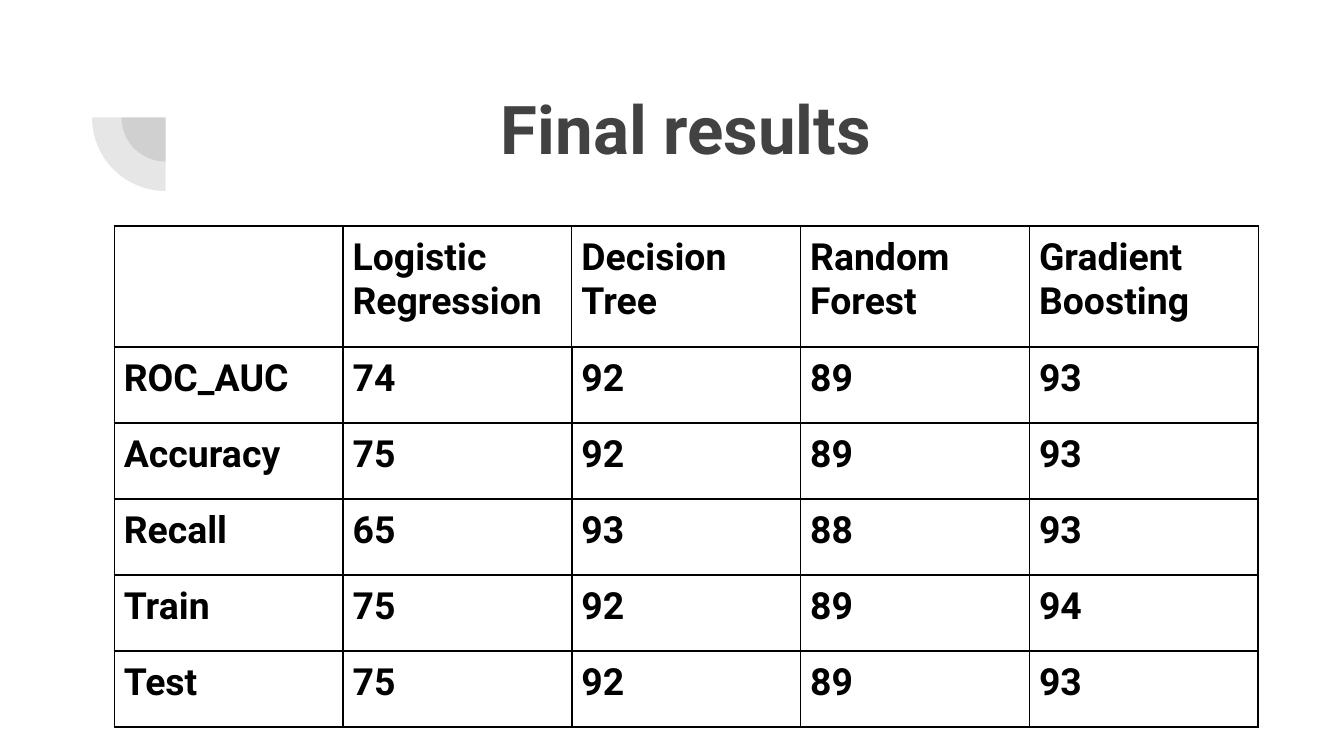
from dataclasses import dataclass

from lxml.etree import SubElement
from pptx import Presentation
from pptx.dml.color import RGBColor as Rgb
from pptx.enum.shapes import MSO_SHAPE as Shape
from pptx.enum.text import MSO_ANCHOR as Anchor, PP_ALIGN as Align
from pptx.oxml.ns import qn
from pptx.util import Cm, Pt


@dataclass(frozen=True)
class Theme:
    font: str = "Roboto"
    grey: str = "424242"
    ink: str = "000000"
    head: int = 36
    body: int = 20
    alpha: int = 13
    thin: float = 0.75
    thick: float = 1


THEME = Theme()

ROWS = [
    ["", "Logistic Regression", "Decision Tree", "Random Forest", "Gradient Boosting"],
    ["ROC_AUC", "74", "92", "89", "93"],
    ["Accuracy", "75", "92", "89", "93"],
    ["Recall", "65", "93", "88", "93"],
    ["Train", "75", "92", "89", "94"],
    ["Test", "75", "92", "89", "93"],
]


def style(para, size, color):
    font = para.font
    font.name, font.size, font.bold = THEME.font, Pt(size), True
    font.color.rgb = Rgb.from_string(color)


def border(cell, widths):
    """Draw the cell's sides; widths maps L, R, T, B to points."""
    props = cell._tc.get_or_add_tcPr()
    for at, (side, width) in enumerate(widths.items()):
        line = props.makeelement(qn(f"a:ln{side}"), {"w": str(Pt(width))})
        fill = SubElement(line, qn("a:solidFill"))
        SubElement(fill, qn("a:srgbClr"), val=THEME.ink)
        props.insert(at, line)


def add_mark(slide, x, y, w, h):
    """Two quarter discs that share the top right corner of the box."""
    group = slide.shapes.add_group_shape()
    for part in (0.6, 1):
        rad = w * part
        pie = group.shapes.add_shape(
            Shape.PIE, Cm(x + w - rad), Cm(y - rad), Cm(2 * rad), Cm(2 * rad))
        pie.rotation = 270
        pie.adjustments[0], pie.adjustments[1] = 108, 162
        pie.shadow.inherit = False
        pie.line.fill.background()
        pie.fill.solid()
        pie.fill.fore_color.rgb = Rgb.from_string(THEME.grey)
        tint = pie._element.spPr.find(f".//{qn('a:srgbClr')}")
        SubElement(tint, qn("a:alpha"), val=str(THEME.alpha * 1000))


def add_title(slide, x, y, w, h):
    frame = slide.shapes.add_textbox(Cm(x), Cm(y), Cm(w), Cm(h)).text_frame
    frame.word_wrap = True
    frame.vertical_anchor = Anchor.TOP
    frame.margin_left = frame.margin_right = frame.margin_bottom = Cm(0.25)
    frame.margin_top = Cm(0.33)
    para = frame.paragraphs[0]
    para.text = "Final results"
    para.alignment = Align.CENTER
    style(para, THEME.head, THEME.grey)


def add_scores(slide, x, y, w, h):
    table = slide.shapes.add_table(
        len(ROWS), len(ROWS[0]), Cm(x), Cm(y), Cm(w), Cm(h)).table
    table.first_row = table.horz_banding = False

    # Equal columns, and equal rows below a taller header
    top = 2.29
    for col in table.columns:
        col.width = Cm(w / len(ROWS[0]))
    for r, row in enumerate(table.rows):
        row.height = Cm(top if r == 0 else (h - top) / (len(ROWS) - 1))

    for r, texts in enumerate(ROWS):
        for c, text in enumerate(texts):
            cell = table.cell(r, c)
            cell.fill.background()
            cell.margin_left = cell.margin_right = Cm(0.18)
            cell.margin_top = cell.margin_bottom = Cm(0.18)
            para = cell.text_frame.paragraphs[0]
            para.text = text
            style(para, THEME.body, THEME.ink)

            # Header and label cells have thinner sides
            edge = THEME.thin if r == 0 or c == 0 else THEME.thick
            border(cell, {
                "L": edge,
                "R": THEME.thin if r == 0 else THEME.thick,
                "T": THEME.thin if r == 1 else edge,
                "B": edge,
            })


def main():
    deck = Presentation()
    deck.slide_width, deck.slide_height = Cm(25.4), Cm(14.29)
    slide = deck.slides.add_slide(deck.slide_layouts[6])
    add_mark(slide, 1.74, 2.22, 1.39, 1.39)
    add_title(slide, 8.28, 1.32, 9.37, 2.51)
    add_scores(slide, 2.16, 4.27, 21.62, 9.47)
    deck.save("out.pptx")


if __name__ == "__main__":
    main()
